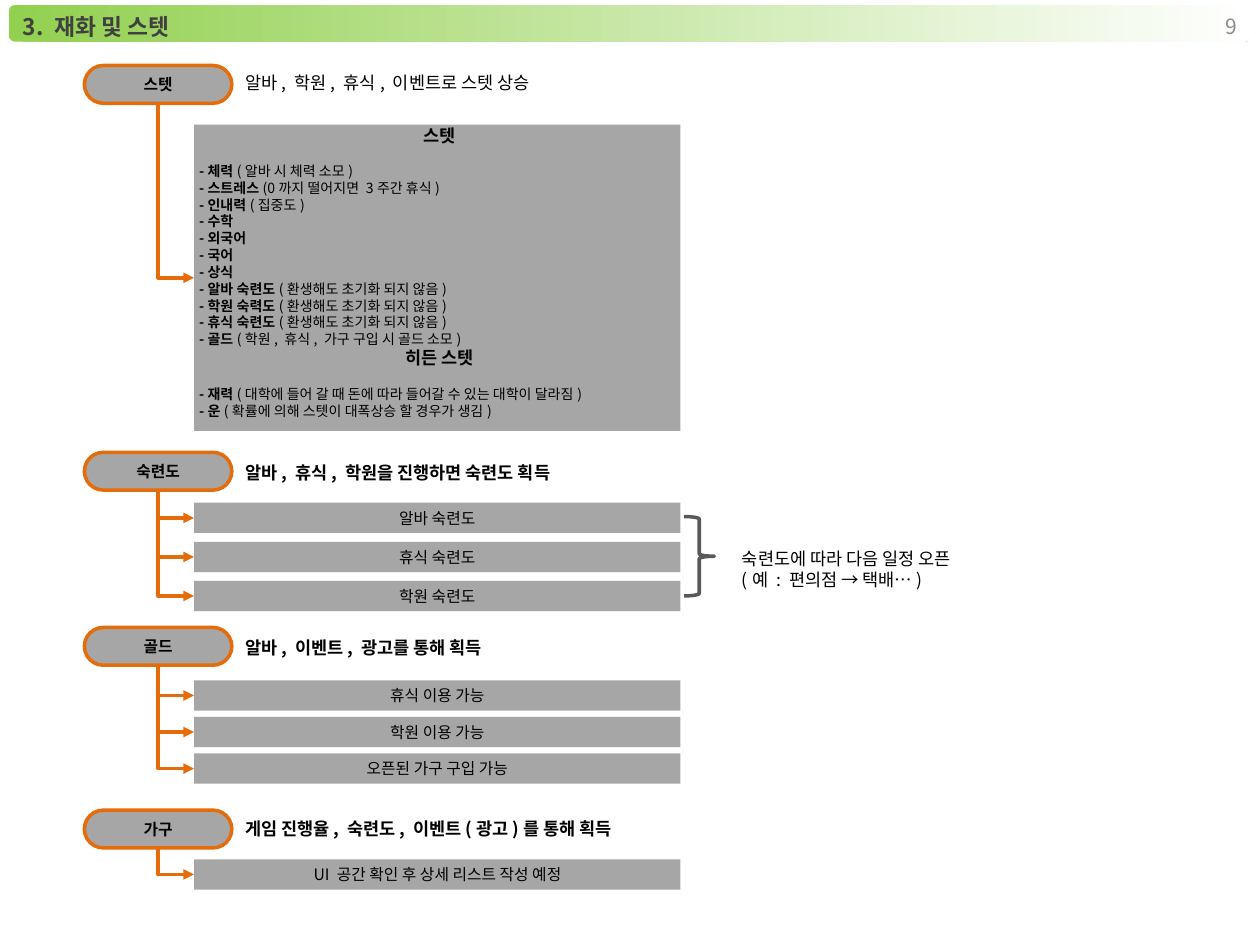
"""Build the slide on goods and stats: four labelled sections with linked detail boxes."""
from lxml.etree import SubElement
from pptx import Presentation
from pptx.dml.color import RGBColor
from pptx.enum.dml import MSO_LINE
from pptx.enum.shapes import MSO_CONNECTOR, MSO_SHAPE
from pptx.enum.text import MSO_ANCHOR, PP_ALIGN
from pptx.oxml.ns import qn
from pptx.util import Inches, Pt

FONT = "Noto Sans CJK KR"
GREEN = RGBColor(0x92, 0xD0, 0x50)
WHITE = RGBColor(0xFF, 0xFF, 0xFF)
GRAY = RGBColor(0xA6, 0xA6, 0xA6)
ORANGE = RGBColor(0xE4, 0x6C, 0x0A)
BLACK = RGBColor(0, 0, 0)
TITLE_GRAY = RGBColor(0x40, 0x40, 0x40)
NUMBER_GRAY = RGBColor(0x8C, 0x8C, 0x8C)
BRACE_GRAY = RGBColor(0x59, 0x59, 0x59)

LABEL_LEFT, LABEL_WIDTH, LABEL_HEIGHT = 0.67, 1.17, 0.3
ROW_LEFT, ROW_WIDTH, ROW_HEIGHT = 1.54, 3.86, 0.24
TEXT_LEFT, TEXT_HEIGHT = 1.85, 0.27
PANEL_HEIGHT = 2.43

SECTIONS = [
    ("스텟", 0.52, "알바, 학원, 휴식, 이벤트로 스텟 상승", 0.52, 3.39, False, 0.99, 0, [""]),
    ("숙련도", 3.59, "알바, 휴식, 학원을 진행하면 숙련도 획득", 3.62, 3.39, True, 3.99, 0.31,
     ["알바 숙련도", "휴식 숙련도", "학원 숙련도"]),
    ("골드", 4.98, "알바, 이벤트, 광고를 통해 획득", 5.01, 3.39, True, 5.4, 0.29,
     ["휴식 이용 가능", "학원 이용 가능", "오픈된 가구 구입 가능"]),
    ("가구", 6.43, "게임 진행율, 숙련도, 이벤트(광고)를 통해 획득", 6.44, 5.83, True, 6.82, 0,
     ["UI 공간 확인 후 상세 리스트 작성 예정"]),
]
STAT_GROUPS = [
    ("스텟", [
        ("-체력", "(알바 시 체력 소모)"),
        ("-스트레스", "(0까지 떨어지면 3주간 휴식)"),
        ("-인내력", "(집중도)"),
        ("-수학", ""),
        ("-외국어", ""),
        ("-국어", ""),
        ("-상식", ""),
        ("-알바 숙련도", "(환생해도 초기화 되지 않음)"),
        ("-학원 숙력도", "(환생해도 초기화 되지 않음)"),
        ("-휴식 숙련도", "(환생해도 초기화 되지 않음)"),
        ("-골드", "(학원, 휴식, 가구 구입 시 골드 소모)"),
    ]),
    ("히든 스텟", [
        ("-재력", "(대학에 들어 갈 때 돈에 따라 들어갈 수 있는 대학이 달라짐)"),
        ("-운", "(확률에 의해 스텟이 대폭상승 할 경우가 생김)"),
    ]),
]

deck = Presentation()
deck.slide_width, deck.slide_height = Inches(10), Inches(7.5)
page = deck.slides.add_slide(deck.slide_layouts[6])


def write(para, spans, size, color=BLACK, align=PP_ALIGN.LEFT):
    para.alignment = align
    for text, bold in spans:
        span = para.add_run()
        span.text = text
        span.font.size, span.font.bold, span.font.name = Pt(size), bold, FONT
        span.font.color.rgb = color
        SubElement(span.font._element, qn("a:ea")).set("typeface", FONT)


def add_box(kind, area, corner=None):
    area = [Inches(length) for length in area]
    if kind is None:
        box = page.shapes.add_textbox(*area)
    else:
        box = page.shapes.add_shape(kind, *area)
        box.shadow.inherit = False
        box.fill.solid()
        box.fill.fore_color.rgb = GRAY
        box.line.fill.background()
        box.text_frame.vertical_anchor = MSO_ANCHOR.MIDDLE
    frame = box.text_frame
    frame.word_wrap = True
    if corner is not None:
        box.adjustments[0] = corner
        frame.margin_left = frame.margin_right = frame.margin_top = frame.margin_bottom = 0
    return box


banner = add_box(MSO_SHAPE.ROUNDED_RECTANGLE, (0.07, 0.04, 9.85, 0.29))
banner.fill.gradient()
banner.fill.gradient_angle = 0
for stop, position, color in zip(banner.fill.gradient_stops, (0, 1), (GREEN, WHITE)):
    stop.position, stop.color.rgb = position, color
title = banner.text_frame.paragraphs[0]
title.line_spacing = 1.2
write(title, [("3. 재화 및 스텟", True)], 13, TITLE_GRAY)

number = add_box(None, (7.59, 0.01, 2.33, 0.4))
number.text_frame.vertical_anchor = MSO_ANCHOR.MIDDLE
write(number.text_frame.paragraphs[0], [("9", False)], 12, NUMBER_GRAY, PP_ALIGN.RIGHT)

for name, top, summary, summary_top, summary_width, bold, first_row, pitch, rows in SECTIONS:
    label = add_box(MSO_SHAPE.ROUNDED_RECTANGLE, (LABEL_LEFT, top, LABEL_WIDTH, LABEL_HEIGHT), 0.5)
    label.line.color.rgb, label.line.width = ORANGE, Pt(2)
    write(label.text_frame.paragraphs[0], [(name, True)], 9, align=PP_ALIGN.CENTER)
    description = add_box(None, (TEXT_LEFT, summary_top, summary_width, TEXT_HEIGHT))
    write(description.text_frame.paragraphs[0], [(summary, bold)], 10)

    for index, text in enumerate(rows):
        row_top = first_row + index * pitch
        if text:
            row = add_box(MSO_SHAPE.ROUNDED_RECTANGLE, (ROW_LEFT, row_top, ROW_WIDTH, ROW_HEIGHT), 0)
            write(row.text_frame.paragraphs[0], [(text, False)], 9, align=PP_ALIGN.CENTER)
        else:
            row = panel = add_box(MSO_SHAPE.RECTANGLE, (ROW_LEFT, row_top, ROW_WIDTH, PANEL_HEIGHT))
        start_x, start_y = label.left + label.width // 2, label.top + label.height
        end_x, end_y = row.left, row.top + row.height // 2
        across, down = end_x - start_x, end_y - start_y
        arrow = page.shapes.add_connector(MSO_CONNECTOR.ELBOW, start_x, start_y, end_x, end_y)
        arrow.begin_connect(label, 2)
        arrow.end_connect(row, 1)
        arrow.left, arrow.top = start_x + (across - down) // 2, start_y + (down - across) // 2
        arrow.width, arrow.height = down, across
        arrow.line.color.rgb, arrow.line.width = ORANGE, Pt(2)
        arrow.line.dash_style = MSO_LINE.SOLID
        properties = arrow._element.spPr
        properties.find(qn("a:prstGeom")).set("prst", "bentConnector2")
        frame = properties.find(qn("a:xfrm"))
        frame.set("rot", "16200000")
        frame.set("flipH", "1")
        SubElement(properties.find(qn("a:ln")), qn("a:tailEnd")).set("type", "triangle")
        SubElement(properties, qn("a:effectLst"))

stats = panel.text_frame
stats.vertical_anchor = MSO_ANCHOR.TOP
stats.margin_left, stats.margin_right, stats.margin_top, stats.margin_bottom = Inches(0.04), 0, 0, 0
for group, (heading, items) in enumerate(STAT_GROUPS):
    para = stats.add_paragraph() if group else stats.paragraphs[0]
    para.line_spacing, para.space_after = Pt(12), Pt(9.6)
    write(para, [(heading, True)], 10, align=PP_ALIGN.CENTER)
    for name, detail in items:
        para = stats.add_paragraph()
        para.line_spacing = Pt(9.6)
        write(para, [(name, True), (detail, False)] if detail else [(name, True)], 8)

brace = add_box(MSO_SHAPE.RIGHT_BRACE, (5.43, 4.1, 0.24, 0.63))
brace.fill.background()
brace.line.color.rgb, brace.line.width = BRACE_GRAY, Pt(2)

note = add_box(None, (5.79, 4.3, 3.39, 0.44)).text_frame
write(note.paragraphs[0], [("숙련도에 따라 다음 일정 오픈", False)], 10)
write(note.add_paragraph(), [("(예 : 편의점 → 택배…)", False)], 10)
for para in note.paragraphs:
    para.line_spacing = Pt(12)

deck.save("out.pptx")
